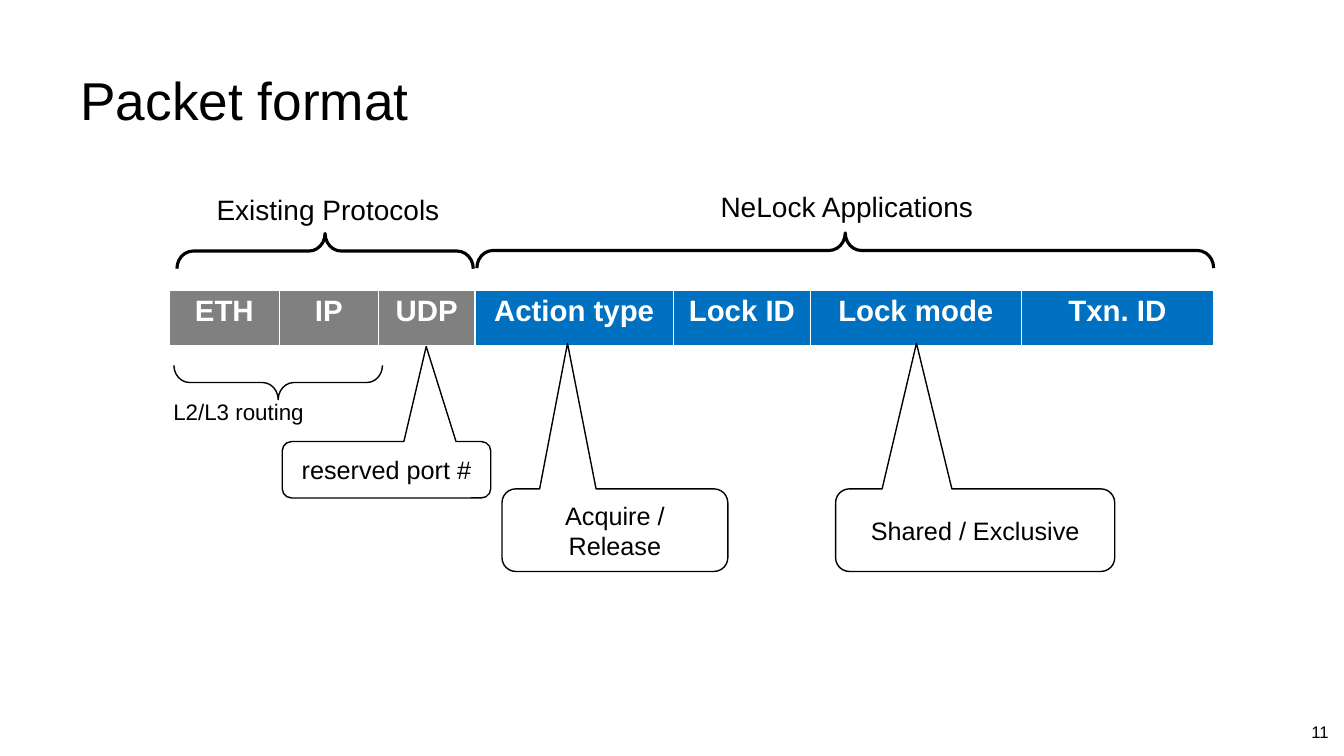
from collections import namedtuple

from lxml.etree import SubElement
from pptx import Presentation
from pptx.dml.color import RGBColor
from pptx.enum.shapes import MSO_SHAPE
from pptx.enum.text import MSO_ANCHOR, PP_ALIGN
from pptx.oxml.ns import qn
from pptx.util import Pt

BLACK = RGBColor(0x00, 0x00, 0x00)
WHITE = RGBColor(0xFF, 0xFF, 0xFF)
GRAY = RGBColor(0x80, 0x80, 0x80)
BLUE = RGBColor(0x00, 0x70, 0xC0)
FONT = "Arial"
POINT_UP, POINT_DOWN = 270, 90

Box = namedtuple("Box", "left top width height")

# Name, column width, fill
FIELDS = [
    ("ETH", 78.5, GRAY),
    ("IP", 70.8, GRAY),
    ("UDP", 69, GRAY),
    ("Action type", 141.7, BLUE),
    ("Lock ID", 98, BLUE),
    ("Lock mode", 150.5, BLUE),
    ("Txn. ID", 137.5, BLUE),
]


def in_points(box):
    return [Pt(length) for length in box]


def style_text(frame, size, color=BLACK, bold=False, align=PP_ALIGN.LEFT):
    for para in frame.paragraphs:
        para.alignment = align
        for span in para.runs:
            span.font.name = FONT
            span.font.size = Pt(size)
            span.font.bold = bold
            span.font.color.rgb = color


def add_label(page, box, text, size, align=PP_ALIGN.LEFT, anchor=MSO_ANCHOR.TOP):
    frame = page.shapes.add_textbox(*in_points(box)).text_frame
    frame.word_wrap = True
    frame.vertical_anchor = anchor
    frame.text = text
    style_text(frame, size, align=align)
    return frame


def add_title(page, box, text):
    frame = add_label(page, box, text, 38, anchor=MSO_ANCHOR.MIDDLE)
    frame.paragraphs[0].line_spacing = 0.9


def add_cell_borders(cell):
    properties = cell._tc.get_or_add_tcPr()
    for position, (side, width) in enumerate(
        [("lnL", 1), ("lnR", 1), ("lnT", 1), ("lnB", 3)]
    ):
        border = SubElement(properties, qn(f"a:{side}"), w=str(Pt(width)))
        fill = SubElement(border, qn("a:solidFill"))
        SubElement(fill, qn("a:srgbClr"), val=str(WHITE))
        properties.remove(border)
        properties.insert(position, border)


def add_packet(page, box):
    table = page.shapes.add_table(1, len(FIELDS), *in_points(box)).table
    table.first_row = False
    table.horz_banding = False
    table.rows[0].height = Pt(box.height)
    for column, cell, (name, width, color) in zip(
        table.columns, table.rows[0].cells, FIELDS
    ):
        column.width = Pt(width)
        cell.text = name
        style_text(cell.text_frame, 21, WHITE, True, PP_ALIGN.CENTER)
        cell.fill.solid()
        cell.fill.fore_color.rgb = color
        add_cell_borders(cell)


def add_brace(page, box, rotation, weight):
    """Turn an upright brace so that it covers the wide box."""
    shift = (box.width - box.height) / 2
    upright = Box(box.left + shift, box.top - shift, box.height, box.width)
    brace = page.shapes.add_shape(MSO_SHAPE.RIGHT_BRACE, *in_points(upright))
    brace.rotation = rotation
    brace.adjustments[0] = 0.457
    brace.adjustments[1] = 0.5
    brace.shadow.inherit = False
    brace.fill.background()
    brace.line.color.rgb = BLACK
    brace.line.width = Pt(weight)


def add_span_above(page, box, text, label_left, label_rise):
    add_brace(page, box, POINT_UP, 2.25)
    label = Box(box.left + label_left, box.top - label_rise, 211, 31.7)
    add_label(page, label, text, 20)


def add_span_below(page, box, text):
    add_brace(page, box, POINT_DOWN, 1)
    label = Box(box.left - 7.5, box.top + 19.8, 170, 26.6)
    add_label(page, label, text, 16)


def add_callout(page, box, tip, text):
    callout = page.shapes.add_shape(
        MSO_SHAPE.ROUNDED_RECTANGULAR_CALLOUT, *in_points(box)
    )
    tip_left, tip_top = tip
    callout.adjustments[0] = (tip_left - box.left) / box.width - 0.5
    callout.adjustments[1] = (tip_top - box.top) / box.height - 0.5
    callout.adjustments[2] = 0.167
    callout.shadow.inherit = False
    callout.fill.solid()
    callout.fill.fore_color.rgb = WHITE
    callout.line.color.rgb = BLACK
    callout.line.width = Pt(1)
    frame = callout.text_frame
    frame.word_wrap = True
    frame.vertical_anchor = MSO_ANCHOR.MIDDLE
    frame.text = text
    style_text(frame, 18, align=PP_ALIGN.CENTER)


def main():
    deck = Presentation()
    deck.slide_width, deck.slide_height = Pt(960), Pt(540)
    page = deck.slides.add_slide(deck.slide_layouts[6])

    add_label(page, Box(740.2, 508.3, 216, 28.8), "11", 12,
              PP_ALIGN.RIGHT, MSO_ANCHOR.MIDDLE)
    add_title(page, Box(50.4, 21.6, 828, 104.4), "Packet format")
    add_packet(page, Box(121, 207.4, 746, 40.3))
    add_span_below(page, Box(124.2, 261, 149, 24.5), "L2/L3 routing")
    add_span_above(page, Box(126.4, 166.7, 211.7, 25.2),
                   "Existing Protocols", 21.2, 32.8)
    add_span_above(page, Box(340.6, 166.3, 526.3, 25.2),
                   "NeLock Applications", 167, 34.5)
    add_callout(page, Box(201.6, 315.4, 149, 40.3), (304.5, 247.5),
                "reserved port #")
    add_callout(page, Box(358.6, 349.2, 161.3, 59), (405.4, 245.2),
                "Acquire / Release")
    add_callout(page, Box(596.9, 349.2, 199.4, 59), (654.7, 245.2),
                "Shared / Exclusive")

    deck.save("out.pptx")


if __name__ == "__main__":
    main()
